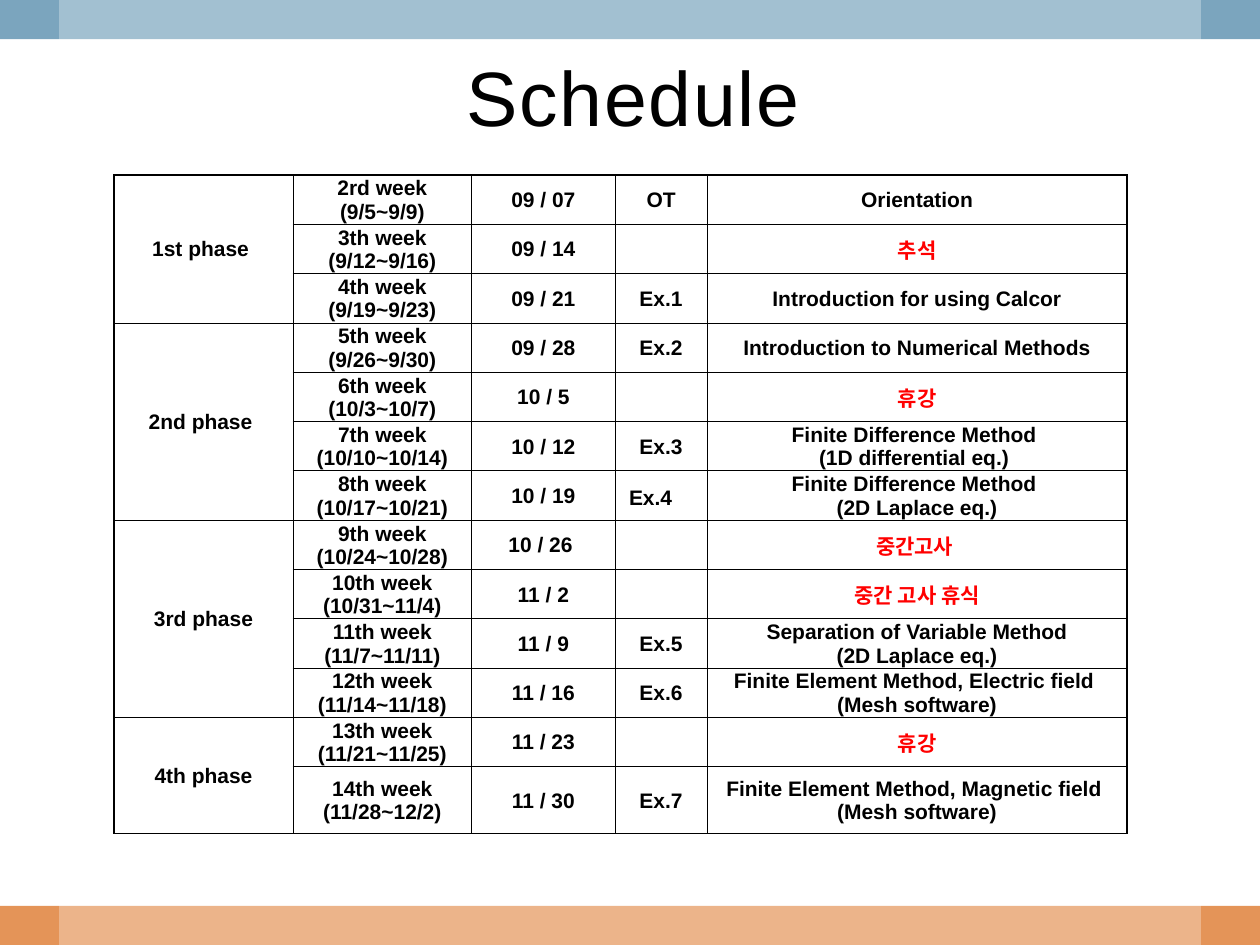
from lxml import etree
from pptx import Presentation
from pptx import util as u
from pptx.dml.color import RGBColor
from pptx.enum import shapes, text
from pptx.oxml import ns

COLORS = {"blue": "7BA5BE", "orange": "E49458", "veil": "FFFFFF",
          "ink": "000000", "holiday": "FF0000"}


def add_border(cell, side, width):
    line = etree.SubElement(cell._tc.get_or_add_tcPr(), ns.qn(f"a:ln{side}"),
                            w=str(u.Pt(width)))
    fill = etree.SubElement(line, ns.qn("a:solidFill"))
    etree.SubElement(fill, ns.qn("a:srgbClr"), val=COLORS["ink"])


def add_span(para, words, size, color, bold=False, font="Arial"):
    para.alignment = text.PP_ALIGN.CENTER
    span = para.add_run()
    span.text = words
    span.font.size = u.Pt(size)
    span.font.name = font
    span.font.bold = bold
    span.font.color.rgb = RGBColor.from_string(COLORS[color])
    return span


deck = Presentation()
deck.slide_width, deck.slide_height = u.Pt(720), u.Pt(540)
page = deck.slides.add_slide(deck.slide_layouts[5])

# Bands at top and bottom, lightened between the corners by a veil
bands = [("orange", 0, 517.6, 720, 22.4),
         ("blue", 0, 0, 720, 22.4),
         ("veil", 33.8, 0, 652.4, 540)]
for color, left, top, width, height in bands:
    band = page.shapes.add_shape(shapes.MSO_SHAPE.RECTANGLE, u.Pt(left), u.Pt(top),
                                 u.Pt(width), u.Pt(height))
    band.shadow.inherit = False
    band.line.fill.background()
    band.fill.solid()
    band.fill.fore_color.rgb = RGBColor.from_string(COLORS[color])
    if color == "veil":
        tint = band.fill._xPr.find(".//" + ns.qn("a:srgbClr"))
        etree.SubElement(tint, ns.qn("a:alpha"), val="30000")

# Schedule: week, dates, class day, exercise, topic lines
weeks = [
    ("2rd week", "(9/5~9/9)", "09 / 07", "OT", ["Orientation"]),
    ("3th week", "(9/12~9/16)", "09 / 14", "", ["추석"]),
    ("4th week", "(9/19~9/23)", "09 / 21", "Ex.1", ["Introduction for using Calcor"]),
    ("5th week", "(9/26~9/30)", "09 / 28", "Ex.2", ["Introduction to Numerical Methods"]),
    ("6th week", "(10/3~10/7)", "10 / 5", "", ["휴강"]),
    ("7th week", "(10/10~10/14)", "10 / 12", "Ex.3",
     ["Finite Difference Method ", "(1D differential eq.) "]),
    ("8th week", "(10/17~10/21)", "10 / 19", "Ex.4　",
     ["Finite Difference Method ", "(2D Laplace eq.)"]),
    ("9th week", "(10/24~10/28)", "10 / 26 ", "", ["중간고사 "]),
    ("10th week", "(10/31~11/4)", "11 / 2", "", ["중간 고사 휴식"]),
    ("11th week", "(11/7~11/11)", "11 / 9", "Ex.5",
     ["Separation of Variable Method", "(2D Laplace eq.)"]),
    ("12th week", "(11/14~11/18)", "11 / 16", "Ex.6",
     ["Finite Element Method, Electric field ", "(Mesh software)"]),
    ("13th week", "(11/21~11/25)", "11 / 23", "", ["휴강"]),
    ("14th week", "(11/28~12/2)", "11 / 30", "Ex.7",
     ["Finite Element Method, Magnetic field ", "(Mesh software)"]),
]
phases = {0: ("1st phase ", 3), 3: ("2nd phase ", 4),
          7: ("3rd phase", 4), 11: ("4th phase", 2)}
col_widths = [102.2, 102.2, 81.9, 52.6, 240]
row_heights = [28.2] * 12 + [38.2]

frame = page.shapes.add_table(len(weeks), len(col_widths), u.Pt(65.2), u.Pt(100),
                              u.Pt(sum(col_widths)), u.Pt(sum(row_heights)))
table = frame.table
table.first_row = table.horz_banding = False
for column, width in zip(table.columns, col_widths):
    column.width = u.Pt(width)
for row, height in zip(table.rows, row_heights):
    row.height = u.Pt(height)

for r, (week, dates, day, exercise, topic) in enumerate(weeks):
    phase = phases.get(r, ("", 1))[0]
    for c, lines in enumerate([[phase], [week, dates], [day], [exercise], topic]):
        cell = table.cell(r, c)
        cell.vertical_anchor = text.MSO_ANCHOR.MIDDLE
        cell.margin_left = cell.margin_right = cell.margin_top = u.Pt(0.7)
        cell.margin_bottom = 0
        add_border(cell, "L", 1 if c == 0 else 0.5)
        add_border(cell, "R", 1 if c == 4 else 0.5)
        add_border(cell, "T", 1 if r == 0 else 0.5)
        add_border(cell, "B", 0.5)
        cell.fill.background()
        # Weeks without an exercise are breaks or exams
        color = "holiday" if c == 4 and not exercise else "ink"
        font = "TeX Gyre Schola" if topic == ["휴강"] and c == 4 else "Arial"
        for i, words in enumerate(lines):
            body = cell.text_frame
            para = body.add_paragraph() if i else body.paragraphs[0]
            para.font.size = u.Pt(12)
            if words:
                add_span(para, words, 12, color, True, font)

for first, (phase, count) in phases.items():
    table.cell(first, 0).merge(table.cell(first + count - 1, 0))

# Title, in front of the veil
title = page.shapes.title
title.left, title.top = u.Pt(39.6), u.Pt(9.4)
title.width, title.height = u.Pt(644.4), u.Pt(90)
title.text_frame.vertical_anchor = text.MSO_ANCHOR.MIDDLE
span = add_span(title.text_frame.paragraphs[0], "Schedule", 44, "ink")
span._r.get_or_add_rPr().set("spc", "100")
page.shapes._spTree.append(title._element)

deck.save("out.pptx")
